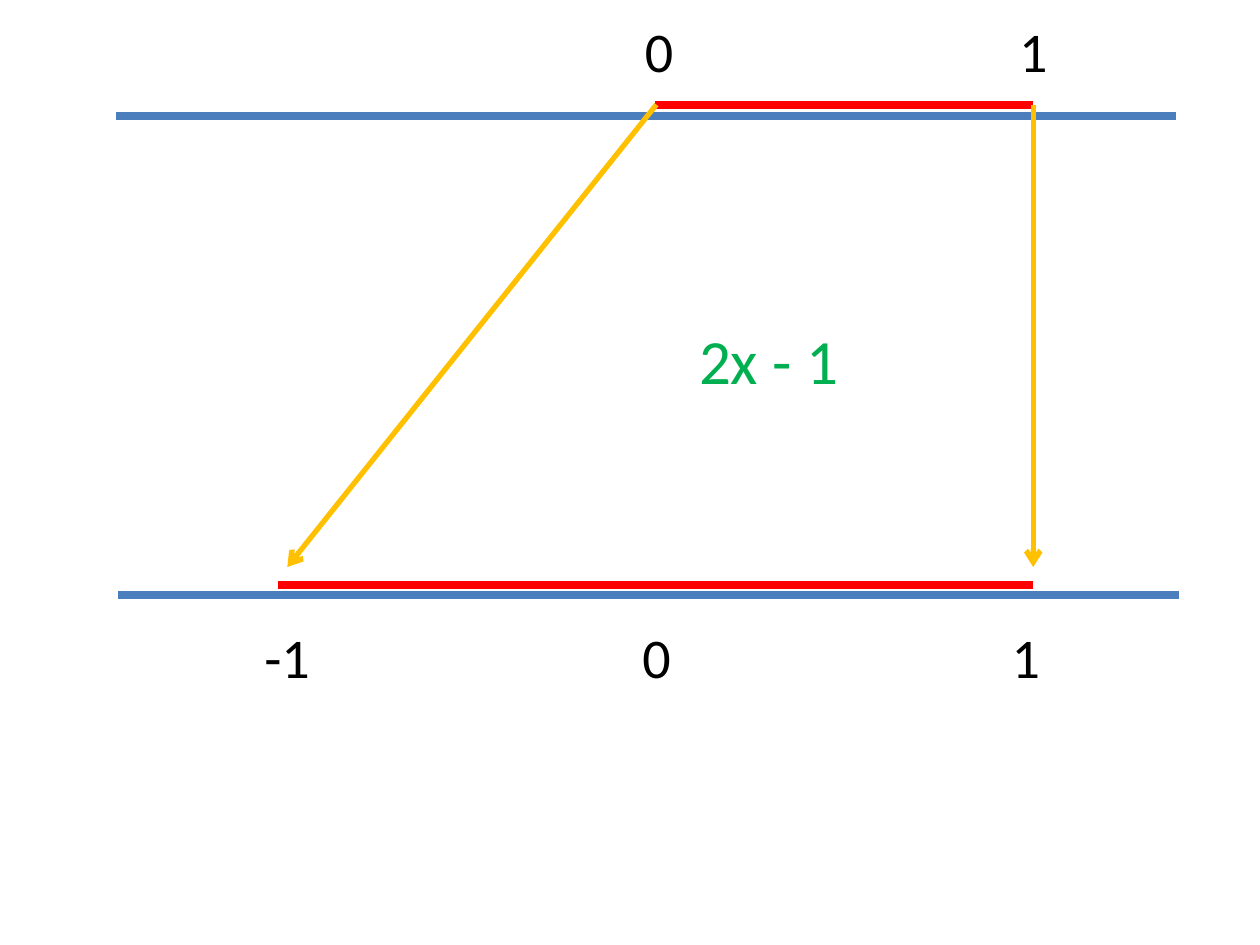
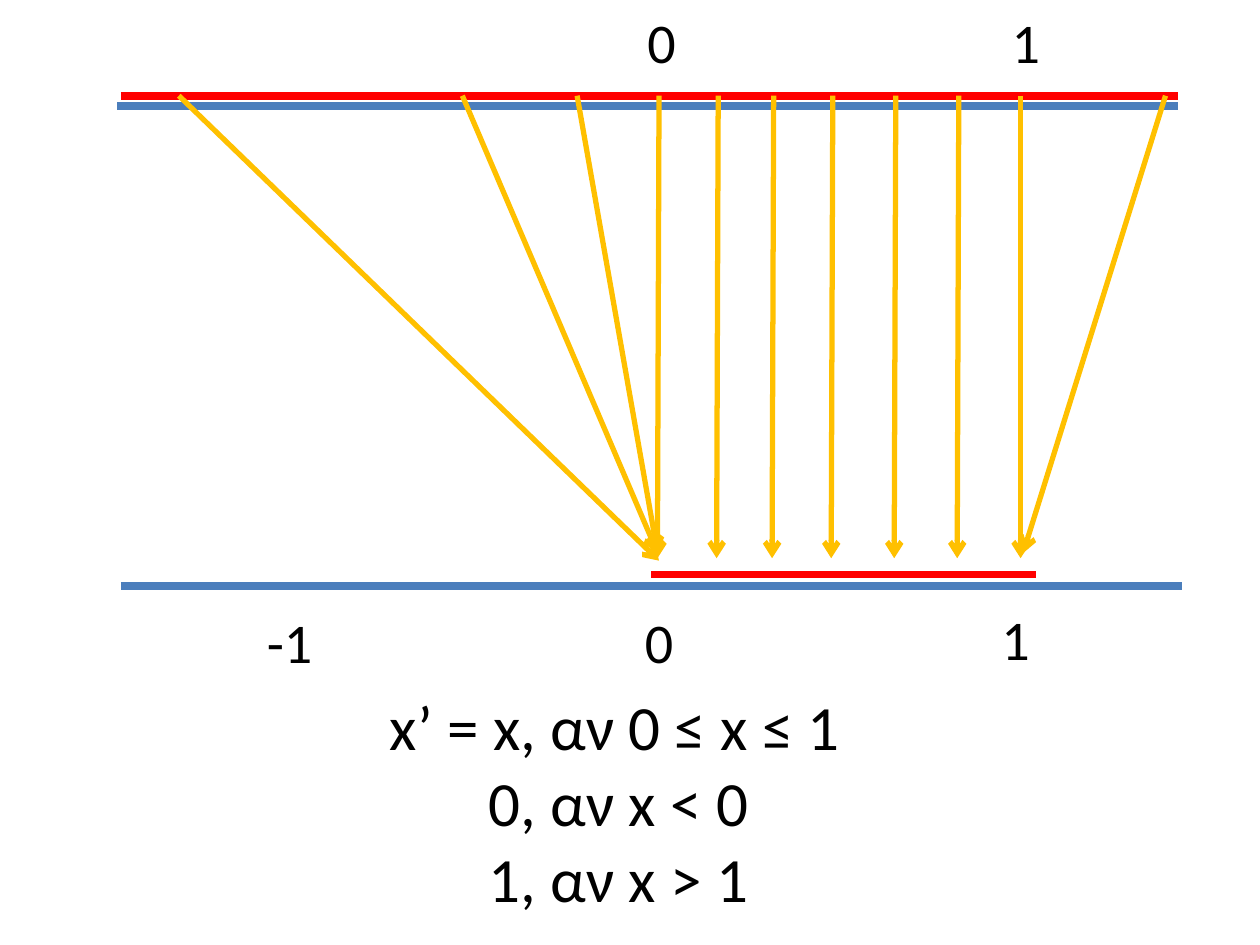
"""Two slides that map one number line onto another with arrows."""
from lxml import etree
from pptx import Presentation
from pptx.dml.color import RGBColor
from pptx.enum.shapes import MSO_CONNECTOR
from pptx.enum.text import MSO_AUTO_SIZE
from pptx.oxml.ns import qn
from pptx.util import Pt

STRAIGHT = MSO_CONNECTOR.STRAIGHT
FIT = MSO_AUTO_SIZE.SHAPE_TO_FIT_TEXT
rgb = RGBColor.from_string
BLUE, RED, AMBER, GREEN, BLACK = "4B7EBC", "FF0000", "FFC000", "00B050", "000000"
INDENT = 57


def add_line(s, x1, y1, x2, y2, color, width=4.5, arrow=False):
    sp = s.shapes.add_connector(STRAIGHT, Pt(x1), Pt(y1), Pt(x2), Pt(y2))
    sp.line.color.rgb = rgb(color)
    sp.line.width = Pt(width)
    if arrow:
        etree.SubElement(sp.line._get_or_add_ln(), qn("a:tailEnd"), type="arrow")
    etree.SubElement(sp._element.spPr, qn("a:effectLst"))


def add_text(s, lines, x, y, w, h, size=32, color=BLACK):
    tf = s.shapes.add_textbox(Pt(x), Pt(y), Pt(w), Pt(h)).text_frame
    for name, value in {"word_wrap": False, "auto_size": FIT}.items():
        setattr(tf, name, value)
    for i, line in enumerate(lines):
        p = tf.paragraphs[0] if i == 0 else tf.add_paragraph()
        if i:
            p._p.get_or_add_pPr().set("marL", str(Pt(INDENT)))
        r = p.add_run()
        r.text = line
        for name, value in {"name": "Calibri", "size": Pt(size)}.items():
            setattr(r.font, name, value)
        r.font.color.rgb = rgb(color)


steps = [376.6, 410.4, 442.1, 475.9, 511.9, 547.9]
slides = [
    {
        "axes": [(66.2, 66.2, 671.8), (67.7, 339.8, 673.9)],
        "intervals": [(374.4, 59.8, 590.4), (159.1, 334.1, 590.4)],
        "labels": [("0", 361.4, 5.8), ("1", 575.3, 5.8),
                   ("-1", 144, 352.1), ("0", 360, 352.1), ("1", 571, 352.1)],
        "arrows": [(375.1, 59.8, 164.2, 324), (590.4, 59.8, 590.4, 324)],
        "formula": (["2x - 1"], 392.4, 180, 95, 51, 36, GREEN),
    },
    {
        "axes": [(67, 60.5, 673.2), (69.1, 334.8, 675.4)],
        "intervals": [(69.1, 54.7, 673.2), (372.2, 328.3, 591.8)],
        "labels": [("0", 362.9, 0.7), ("1", 571, 0.7),
                   ("-1", 145.4, 343.4), ("0", 361.4, 343.4), ("1", 565.2, 342)],
        "arrows": [(x, 54.7, x - 0.9, 319) for x in steps] + [
            (583.2, 54.7, 583.2, 319),
            (329.8, 54.7, 375.8, 316.1),
            (264.2, 54.7, 375.8, 316.1),
            (102.2, 54.7, 376.6, 320.4),
            (666, 54.7, 584.6, 316.1),
        ],
        "formula": (["x’ = x, αν 0 ≤ x ≤ 1", "0, αν x < 0", "1, αν x > 1"],
                    215.3, 389.5, 274.3, 138.2, 36, BLACK),
    },
]

prs = Presentation()
prs.slide_width, prs.slide_height = Pt(720), Pt(540)

for content in slides:
    s = prs.slides.add_slide(prs.slide_layouts[6])
    for key, color in (("axes", BLUE), ("intervals", RED)):
        for left, y, right in content[key]:
            add_line(s, left, y, right, y, color)
    for label, x, y in content["labels"]:
        add_text(s, [label], x, y, 21 + 10 * len(label), 46)
    add_text(s, *content["formula"])
    for ends in content["arrows"]:
        add_line(s, *ends, AMBER, width=3, arrow=True)

prs.save("out.pptx")
